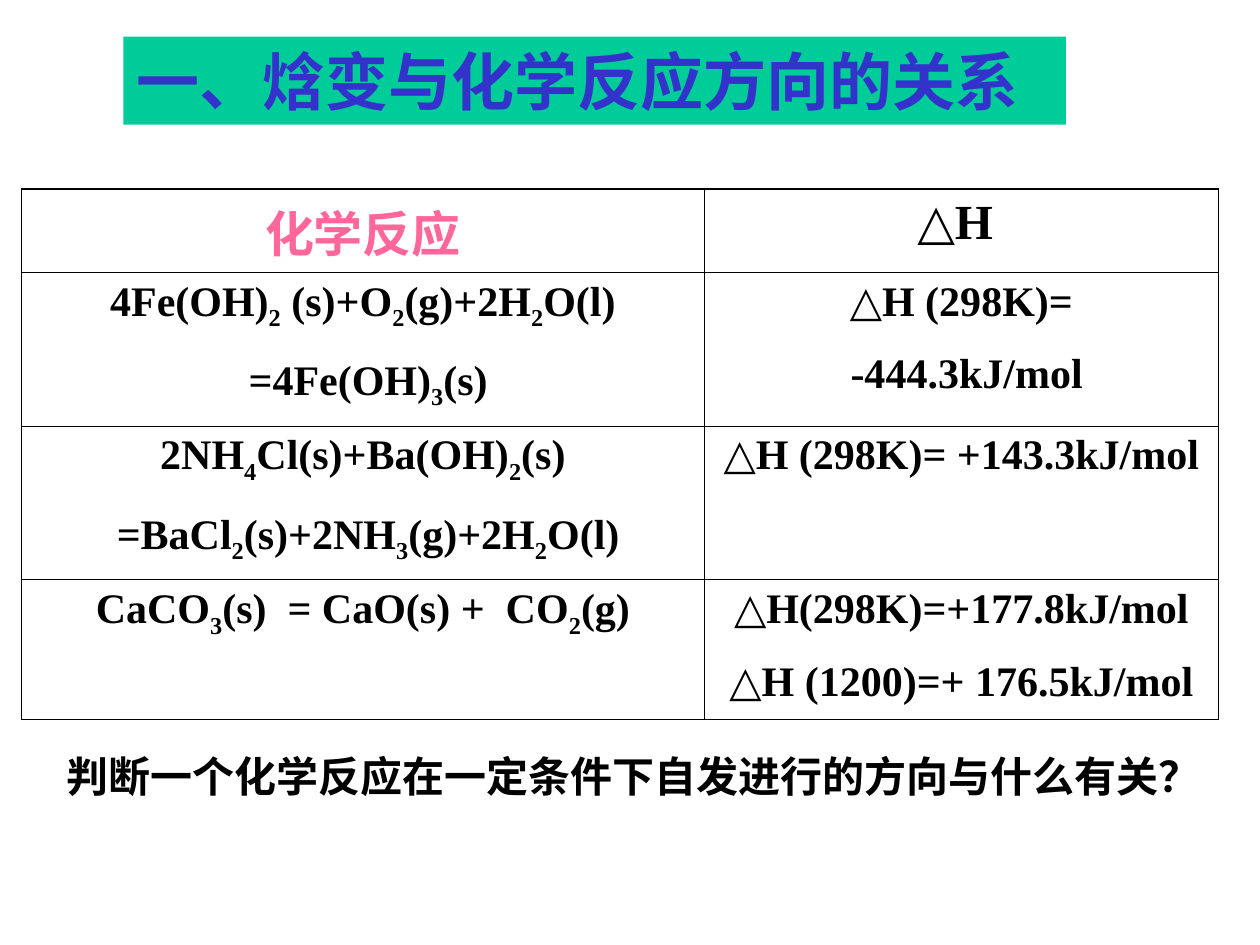
from lxml.etree import SubElement
from pptx import Presentation
from pptx.dml.color import RGBColor
from pptx.enum.text import MSO_ANCHOR, MSO_AUTO_SIZE, PP_ALIGN
from pptx.oxml.ns import qn
from pptx.util import Inches, Pt

COLORS = {"ink": "000000", "title": "3333CC", "band": "00CC99", "pink": "FF6699"}
FONT = "Times New Roman"
COLS = [5.42, 4.08]
ROWS = [0.57, 1.22, 1.22, 1.11]

# Cell lines; "_" lowers the character after it
CELLS = [
    [["化学反应"], ["△H "]],
    [["4Fe(OH)_2 (s)+O_2(g)+2H_2O(l)", "=4Fe(OH)_3(s)"],
     ["△H (298K)=", "-444.3kJ/mol"]],
    [["2NH_4Cl(s)+Ba(OH)_2(s)", "=BaCl_2(s)+2NH_3(g)+2H_2O(l)"],
     ["△H (298K)= +143.3kJ/mol"]],
    [["CaCO_3(s)  = CaO(s) +  CO_2(g)"],
     ["△H(298K)=+177.8kJ/mol", "△H (1200)=+ 176.5kJ/mol"]],
]


def write(p, text, size, color, align=PP_ALIGN.LEFT):
    p.alignment = align
    p.font.name, p.font.size, p.font.bold = FONT, Pt(size), True
    p.font.color.rgb = RGBColor.from_string(COLORS[color])
    first, *rest = text.split("_")
    p.add_run().text = first
    for part in rest:
        r = p.add_run()
        r.text = part[0]
        r.font._element.set("baseline", "-25000")
        if part[1:]:
            p.add_run().text = part[1:]


def set_border(cell, side, width):
    ln = SubElement(cell._tc.get_or_add_tcPr(), qn(f"a:ln{side}"), w=str(Pt(width)))
    fill = SubElement(ln, qn("a:solidFill"))
    SubElement(fill, qn("a:srgbClr"), val=COLORS["ink"])


prs = Presentation()
prs.slide_width, prs.slide_height = Inches(10), Inches(7.5)
s = prs.slides.add_slide(prs.slide_layouts[5])

# Title band
sp = s.shapes.title
sp.left, sp.top, sp.width, sp.height = [Inches(v) for v in (0.98, 0.29, 7.48, 0.7)]
sp.fill.solid()
sp.fill.fore_color.rgb = RGBColor.from_string(COLORS["band"])
tf = sp.text_frame
tf.word_wrap, tf.auto_size = True, MSO_AUTO_SIZE.NONE
tf.vertical_anchor = MSO_ANCHOR.TOP
write(tf.paragraphs[0], "一、焓变与化学反应方向的关系", 36, "title")

# Reaction table
table = s.shapes.add_table(len(ROWS), len(COLS), Inches(0.17), Inches(1.5),
                           Inches(sum(COLS)), Inches(sum(ROWS))).table
table.first_row = table.horz_banding = False
for col, width in zip(table.columns, COLS):
    col.width = Inches(width)
for row, height in zip(table.rows, ROWS):
    row.height = Inches(height)

for i, row in enumerate(CELLS):
    for j, lines in enumerate(row):
        cell = table.cell(i, j)
        tf = cell.text_frame
        for n, line in enumerate(lines):
            p = tf.add_paragraph() if n else tf.paragraphs[0]
            if n:
                p.space_before = Pt(15)
            if line[0] in "=-":  # continuation lines sit slightly to the right
                p._p.get_or_add_pPr().set("marL", str(Pt(6)))
            write(p, line, 24 if i else 28, "ink" if i or j else "pink", PP_ALIGN.CENTER)
        # Heavy outer frame, thin inner rules
        outer = {"L": j == 0, "R": j == len(COLS) - 1,
                 "T": i == 0, "B": i == len(ROWS) - 1}
        for side, heavy in outer.items():
            set_border(cell, side, 1.08 if heavy else 0.45)
        cell.fill.background()

# Closing question
sp = s.shapes.add_textbox(Inches(0.43), Inches(5.91), Inches(9.21), Inches(0.5))
tf = sp.text_frame
tf.word_wrap = True
write(tf.paragraphs[0], "判断一个化学反应在一定条件下自发进行的方向与什么有关？", 24, "ink")

prs.save("out.pptx")
